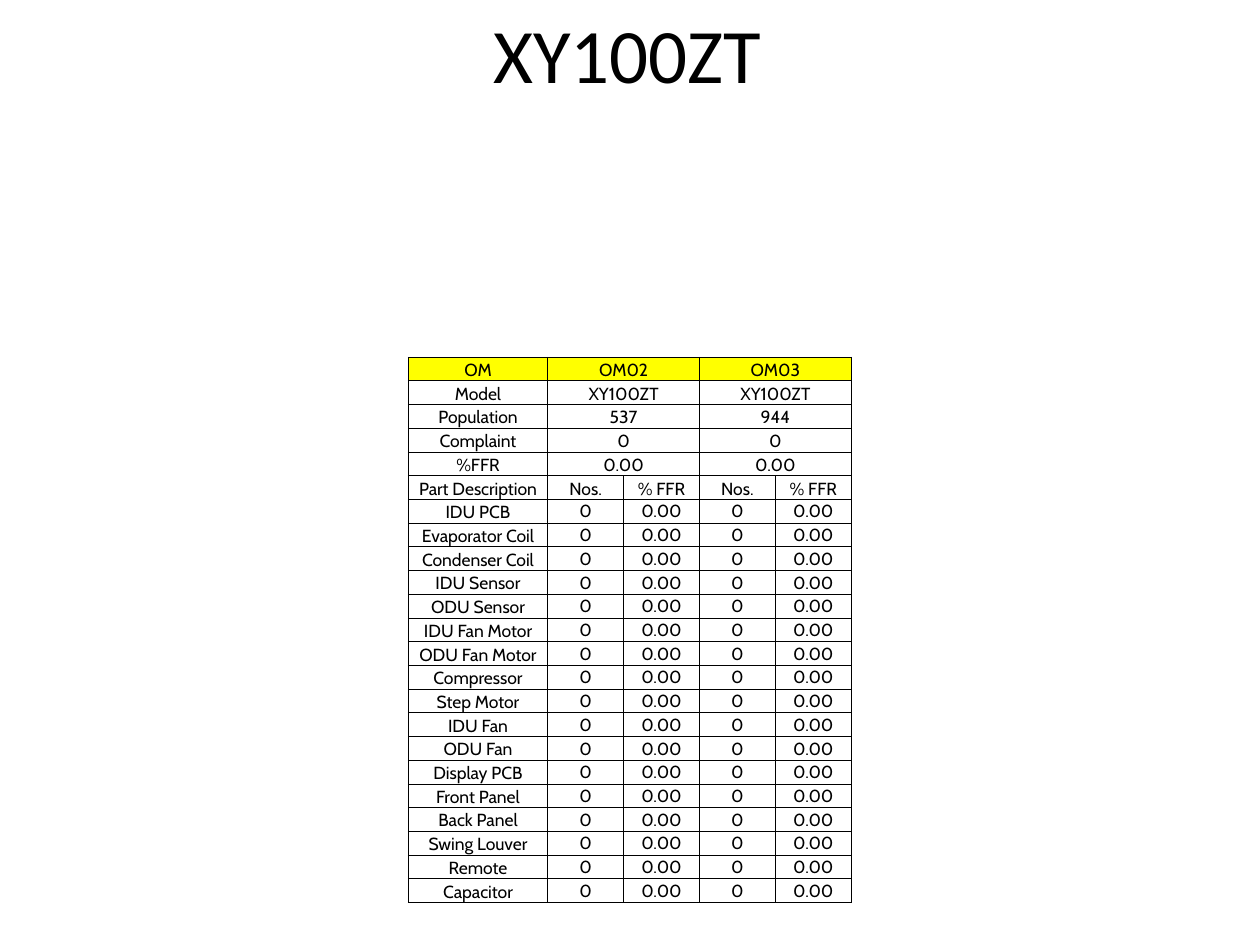
from dataclasses import dataclass

from lxml.etree import SubElement
from pptx import Presentation
from pptx.dml.color import RGBColor
from pptx.enum.text import MSO_ANCHOR, PP_ALIGN
from pptx.oxml.ns import qn
from pptx.util import Cm, Pt

MODEL = "XY100ZT"
SUMMARY = [
    ("OM", "OM02", "OM03"),
    ("Model", MODEL, MODEL),
    ("Population", "537", "944"),
    ("Complaint", "0", "0"),
    ("%FFR", "0.00", "0.00"),
]
PART_HEADER = ("Part Description", "Nos.", "% FFR", "Nos.", "% FFR")
PARTS = [
    "IDU PCB", "Evaporator Coil", "Condenser Coil", "IDU Sensor", "ODU Sensor",
    "IDU Fan Motor", "ODU Fan Motor", "Compressor", "Step Motor", "IDU Fan",
    "ODU Fan", "Display PCB", "Front Panel", "Back Panel", "Swing Louver",
    "Remote", "Capacitor",
]
PART_VALUES = ("0", "0.00", "0", "0.00")


@dataclass(frozen=True)
class Theme:
    ink: str = "000000"
    highlight: str = "FFFF00"
    title_font: str = "Calibri"
    table_font: str = "Cabin"
    title_size: int = 44
    table_size: int = 10
    border: float = 0.5


THEME = Theme()
SLIDE_SIZE = (25.4, 19.05)
TITLE_BOX = (1.22, 0.43, 22.86, 1.27)
TABLE_LEFT, TABLE_TOP, TABLE_HEIGHT = 8.23, 7.2, 11
COLUMNS = [2.81] + [1.53] * 4
CELL_INSET = 0.02


def write(tf, text, font=THEME.table_font, size=THEME.table_size, color=THEME.ink):
    p = tf.paragraphs[0]
    p.alignment = PP_ALIGN.CENTER
    r = p.add_run()
    r.text = text
    r.font.name = font
    r.font.size = Pt(size)
    r.font.color.rgb = RGBColor.from_string(color)


def style_cell(cell, highlighted):
    tcPr = cell._tc.get_or_add_tcPr()
    for side in ("a:lnL", "a:lnR", "a:lnT", "a:lnB"):
        ln = SubElement(tcPr, qn(side), w=str(Pt(THEME.border)))
        SubElement(SubElement(ln, qn("a:solidFill")), qn("a:srgbClr"), val=THEME.ink)
    if highlighted:
        cell.fill.solid()
        cell.fill.fore_color.rgb = RGBColor.from_string(THEME.highlight)
    else:
        cell.fill.background()
    cell.margin_left = cell.margin_right = cell.margin_top = Cm(CELL_INSET)
    cell.margin_bottom = 0


def add_title(s):
    tf = s.shapes.add_textbox(*map(Cm, TITLE_BOX)).text_frame
    tf.word_wrap = True
    tf.vertical_anchor = MSO_ANCHOR.MIDDLE
    write(tf, MODEL, font=THEME.title_font, size=THEME.title_size)


def add_parts_table(s):
    summary = [(label, a, None, b, None) for label, a, b in SUMMARY]
    parts = [(part, *PART_VALUES) for part in PARTS]
    rows = summary + [PART_HEADER] + parts
    table = s.shapes.add_table(
        len(rows), len(COLUMNS), Cm(TABLE_LEFT), Cm(TABLE_TOP),
        Cm(sum(COLUMNS)), Cm(TABLE_HEIGHT)).table
    table.first_row = table.horz_banding = False
    for column, width in zip(table.columns, COLUMNS):
        column.width = Cm(width)
    first_part = len(rows) - len(parts)
    for i, values in enumerate(rows):
        table.rows[i].height = Cm(TABLE_HEIGHT / len(rows))
        for j, text in enumerate(values):
            cell = table.cell(i, j)
            style_cell(cell, highlighted=i == 0)
            if text is None:
                table.cell(i, j - 1).merge(cell)
                cell.text_frame.paragraphs[0].font.size = Pt(THEME.table_size)
                continue
            is_value = i >= first_part and j > 0
            cell.vertical_anchor = MSO_ANCHOR.MIDDLE if is_value else MSO_ANCHOR.BOTTOM
            write(cell.text_frame, text)


def main():
    prs = Presentation()
    prs.slide_width, prs.slide_height = map(Cm, SLIDE_SIZE)
    s = prs.slides.add_slide(prs.slide_layouts[6])
    add_title(s)
    add_parts_table(s)
    prs.save("out.pptx")


if __name__ == "__main__":
    main()
